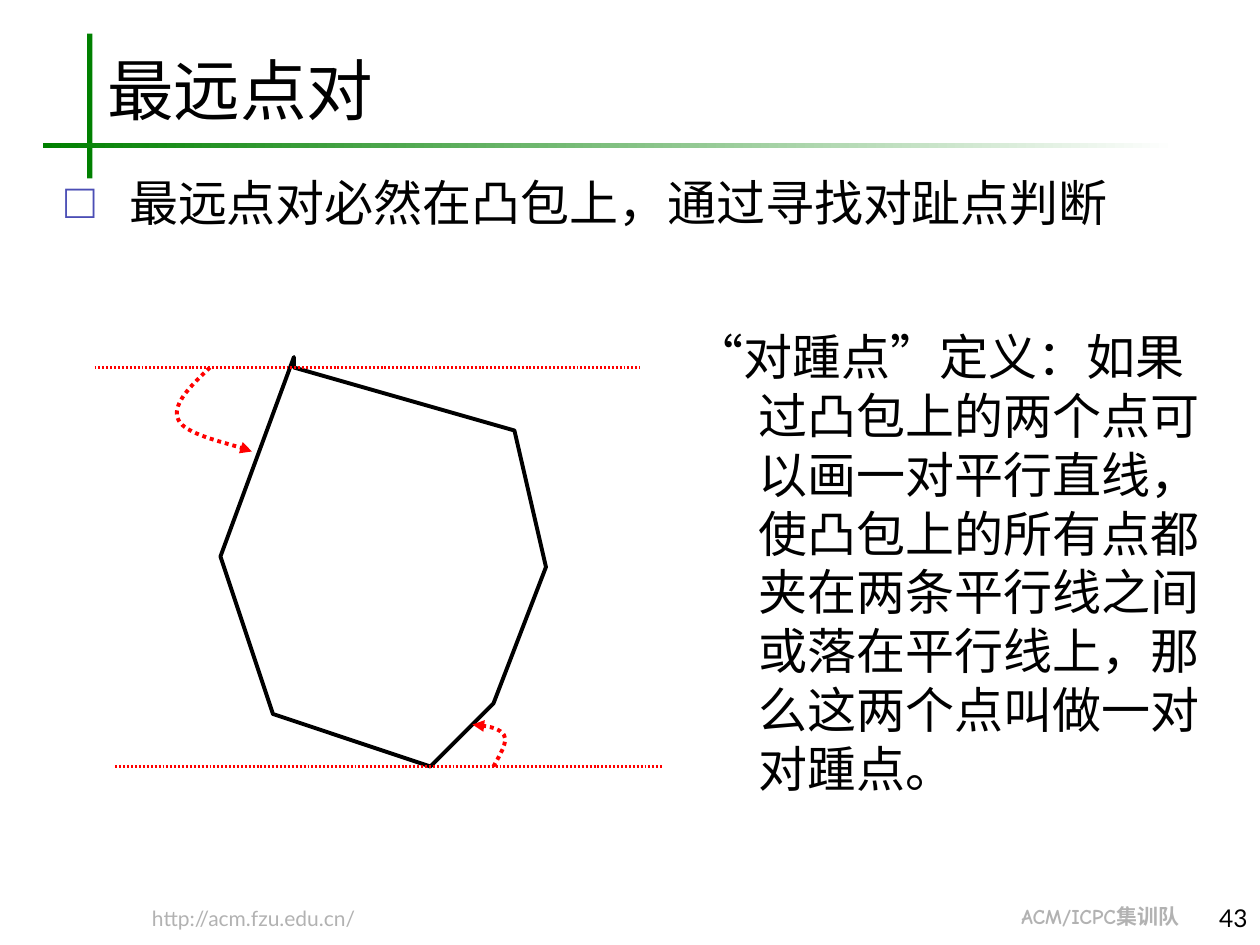
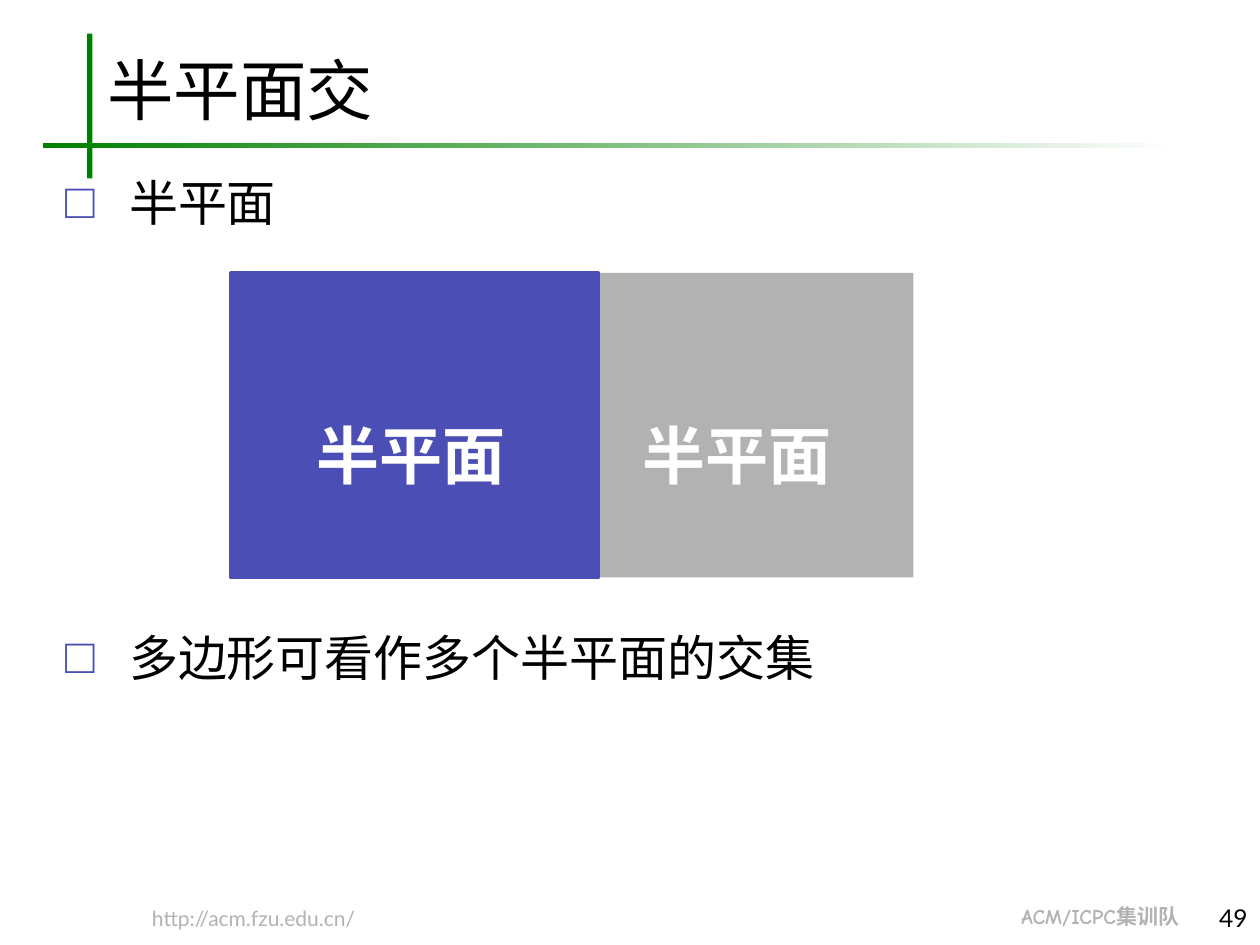
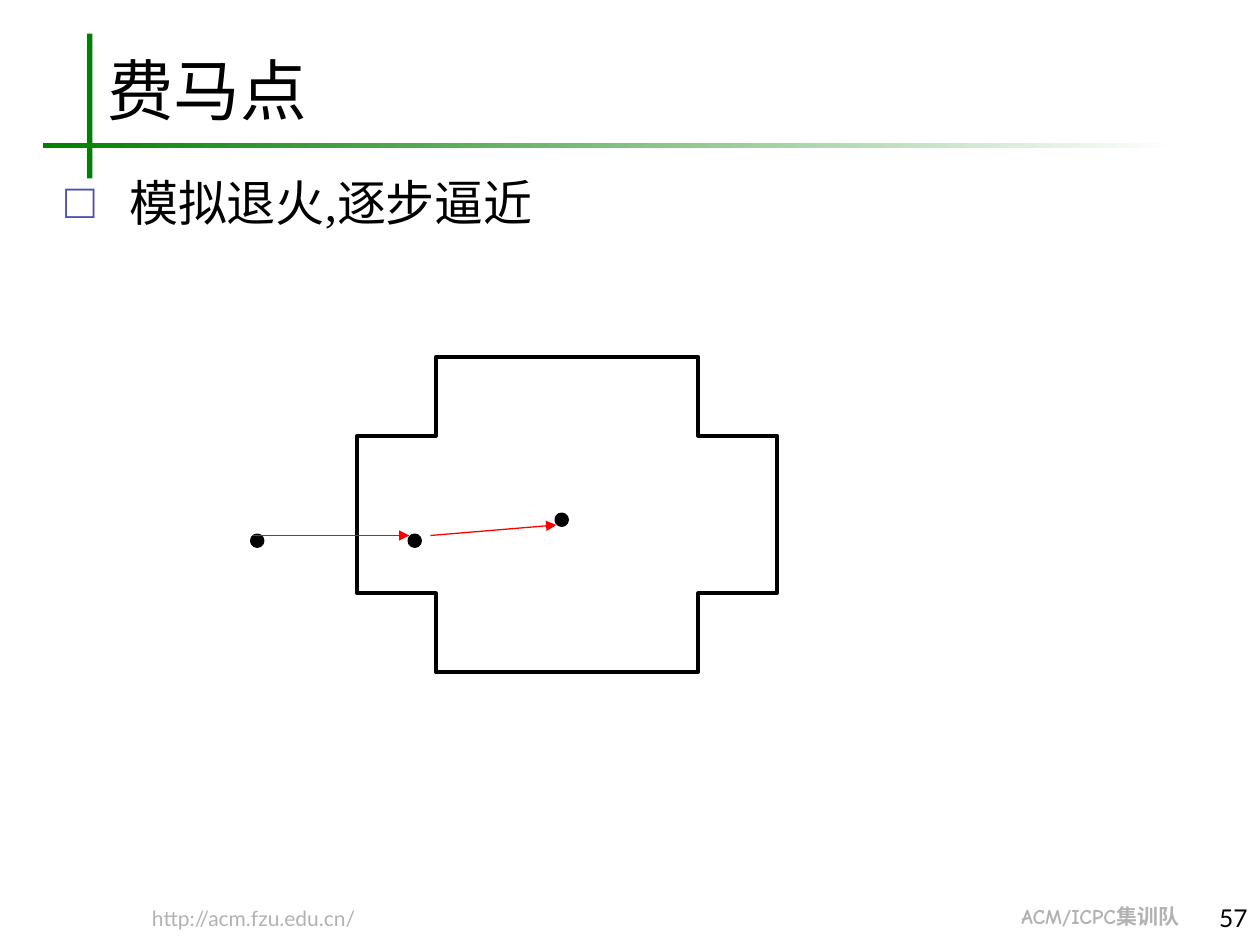
from dataclasses import dataclass
from typing import Optional

from lxml.etree import SubElement
from pptx import Presentation
from pptx.dml.color import RGBColor
from pptx.enum.dml import MSO_LINE
from pptx.enum.lang import MSO_LANGUAGE_ID
from pptx.enum.shapes import MSO_CONNECTOR, MSO_SHAPE
from pptx.enum.text import MSO_ANCHOR, MSO_AUTO_SIZE, PP_ALIGN
from pptx.oxml.ns import qn
from pptx.util import Emu, Pt

PX = 7620  # EMU in one px, 120 px to the inch
HANGING = 61

BLACK, WHITE, GREY = "000000", "FFFFFF", "B2B2B2"
GREEN, INDIGO, RED = "008000", "4B4EB5", "FF0000"
SERIF, SANS, COMIC = "Times New Roman", "Lato", "Comic Neue"


@dataclass(frozen=True)
class Box:
    left: int
    top: int
    width: int
    height: int

    def emu(self) -> tuple:
        return tuple(px(n) for n in (self.left, self.top, self.width, self.height))


@dataclass(frozen=True)
class Style:
    size: int
    font: str = SERIF
    color: str = BLACK
    bold: bool = False


@dataclass(frozen=True)
class Label:
    box: Box
    text: str
    style: Style
    spacing: Optional[float] = None


@dataclass(frozen=True)
class Bullet:
    text: str
    before: float = 0


@dataclass(frozen=True)
class Stroke:
    color: str
    width: float
    dash: Optional[MSO_LINE] = None
    fine_dots: bool = False
    arrow: bool = False


TITLE, BODY = Style(38), Style(28)
PAGE_NUMBER = Style(14, SANS)
REGION = Style(36, SERIF, WHITE, True)
OUTLINE = Stroke(BLACK, 2.25)
PARALLEL = Stroke(RED, 2.25, fine_dots=True)
ROTATION = Stroke(RED, 2.25, dash=MSO_LINE.ROUND_DOT, arrow=True)
STEP = Stroke(RED, 0.75, arrow=True)

TITLE_BOX = Box(90, 40, 1070, 89)
BODY_BOX = Box(50, 158, 1110, 682)
NUMBER_BOX = Box(1120, 854, 80, 40)
FOOTERS = (
    Label(Box(133, 866, 310, 22), "http://acm.fzu.edu.cn/", Style(12, SANS, GREY), 0.8),
    Label(Box(961, 864, 200, 22), "ACM/ICPC集训队", Style(12, COMIC, GREY, True), 0.8),
)


def px(count: int) -> Emu:
    return Emu(count * PX)


def rgb(hex_color: str) -> RGBColor:
    return RGBColor.from_string(hex_color)


def add_run(paragraph, text: str, style: Style) -> None:
    run = paragraph.add_run()
    run.text = text
    font = run.font
    font.name, font.size, font.bold = style.font, Pt(style.size), style.bold
    font.color.rgb = rgb(style.color)
    font.language_id = MSO_LANGUAGE_ID.SIMPLIFIED_CHINESE


def hang(paragraph):
    """Set the hanging indent and return the paragraph properties."""
    properties = paragraph._p.get_or_add_pPr()
    properties.set("marL", str(px(HANGING)))
    properties.set("indent", str(-px(HANGING)))
    return properties


def add_label(slide, label: Label):
    box = slide.shapes.add_textbox(*label.box.emu())
    frame = box.text_frame
    frame.word_wrap = True
    frame.auto_size = MSO_AUTO_SIZE.SHAPE_TO_FIT_TEXT
    frame.margin_top = frame.margin_bottom = px(1)
    paragraph = frame.paragraphs[0]
    hang(paragraph)
    paragraph.line_spacing = label.spacing
    add_run(paragraph, label.text, label.style)
    return box


def set_stroke(shape, stroke: Stroke) -> None:
    shape.line.color.rgb = rgb(stroke.color)
    shape.line.width = Pt(stroke.width)
    if stroke.dash is not None:
        shape.line.dash_style = stroke.dash
    outline = shape.element.spPr.find(qn("a:ln"))
    if stroke.fine_dots:
        dots = SubElement(outline, qn("a:custDash"))
        SubElement(dots, qn("a:ds"), d="50000", sp="50000")
    if stroke.arrow:
        SubElement(outline, qn("a:tailEnd"), type="triangle")


def finish(shape, fill: Optional[str], stroke: Optional[Stroke]):
    """Give a shape its fill and line, and take away its shadow."""
    shape.shadow.inherit = False
    if fill:
        shape.fill.solid()
        shape.fill.fore_color.rgb = rgb(fill)
    else:
        shape.fill.background()
    if stroke:
        set_stroke(shape, stroke)
    else:
        shape.line.fill.background()
    return shape


def add_preset(slide, preset: MSO_SHAPE, box: Box, fill: Optional[str] = None,
               stroke: Optional[Stroke] = None):
    return finish(slide.shapes.add_shape(preset, *box.emu()), fill, stroke)


def add_outline(slide, points: list, stroke: Stroke, close: bool):
    builder = slide.shapes.build_freeform(*points[0], scale=PX)
    builder.add_line_segments(points[1:], close=close)
    return finish(builder.convert_to_shape(), None, stroke)


def add_curve(slide, points: list, stroke: Stroke) -> None:
    """Draw a start point followed by triples of Bézier points."""
    curve = add_outline(slide, points, stroke, close=False)
    segments = list(curve.element.iter(qn("a:lnTo")))
    for first in range(0, len(segments), 3):
        bezier = SubElement(segments[first].getparent(), qn("a:cubicBezTo"))
        for segment in segments[first:first + 3]:
            bezier.append(segment[0])
            segment.getparent().remove(segment)


def add_line(slide, start: tuple, end: tuple, stroke: Stroke) -> None:
    line = slide.shapes.add_connector(
        MSO_CONNECTOR.STRAIGHT, *(px(n) for n in start + end))
    set_stroke(line, stroke)
    SubElement(line.element.spPr, qn("a:effectLst"))


def decorate_layout(layout, slide) -> None:
    """Draw the green cross and footers, and hand them to the layout."""
    upright = add_preset(slide, MSO_SHAPE.RECTANGLE, Box(83, 32, 5, 138), GREEN)
    rule = add_preset(slide, MSO_SHAPE.RECTANGLE, Box(41, 136, 1080, 5))
    rule.fill.gradient()
    rule.fill.gradient_angle = 180
    for stop, color in zip(rule.fill.gradient_stops, (WHITE, GREEN)):
        stop.color.rgb = rgb(color)
    footers = [add_label(slide, footer) for footer in FOOTERS]
    for part in (upright, rule, *footers):
        layout.shapes.element.append(part.element)


def place(placeholder, box: Box) -> None:
    placeholder.left, placeholder.top, placeholder.width, placeholder.height = box.emu()


def add_page(deck, title: str, number: str, bullets: list):
    slide = deck.slides.add_slide(deck.slide_layouts[1])
    heading, body = slide.shapes.title, slide.placeholders[1]
    place(heading, TITLE_BOX)
    place(body, BODY_BOX)
    for holder in (heading, body):
        holder.text_frame.auto_size = MSO_AUTO_SIZE.NONE
    heading.text_frame.vertical_anchor = MSO_ANCHOR.BOTTOM
    title_line = heading.text_frame.paragraphs[0]
    title_line.alignment = PP_ALIGN.LEFT
    add_run(title_line, title, TITLE)

    for index, bullet in enumerate(bullets):
        frame = body.text_frame
        item = frame.add_paragraph() if index else frame.paragraphs[0]
        properties = hang(item)
        mark_color = SubElement(properties, qn("a:buClr"))
        SubElement(mark_color, qn("a:srgbClr"), val=INDIGO)
        SubElement(properties, qn("a:buChar"), char="□")
        item.space_before = Pt(bullet.before)
        add_run(item, bullet.text, BODY)

    corner = slide.shapes.add_textbox(*NUMBER_BOX.emu()).text_frame
    corner.word_wrap = True
    corner.vertical_anchor = MSO_ANCHOR.BOTTOM
    corner.paragraphs[0].alignment = PP_ALIGN.RIGHT
    add_run(corner.paragraphs[0], number, PAGE_NUMBER)
    return slide


def add_farthest_pair(deck):
    slide = add_page(deck, "最远点对", "43",
                     [Bullet("最远点对必然在凸包上，通过寻找对趾点判断")])
    hull = [(280, 350), (490, 410), (520, 540), (470, 670), (410, 730),
            (260, 680), (210, 530), (280, 340), (280, 350)]
    add_outline(slide, hull, OUTLINE, close=True)
    for left, y in ((90, 350), (110, 730)):
        add_line(slide, (left, y), (left + 520, y), PARALLEL)
    upper_turn = [(200, 350), (181, 368), (163, 386), (170, 400),
                  (176, 413), (228, 425), (240, 430)]
    lower_turn = [(470, 730), (476, 719), (484, 707), (480, 700),
                  (476, 694), (463, 691), (450, 690)]
    for turn in (upper_turn, lower_turn):
        add_curve(slide, turn, ROTATION)
    definition = ("“对踵点”定义：如果过凸包上的两个点可以画一对平行直线，"
                  "使凸包上的所有点都夹在两条平行线之间或落在平行线上，"
                  "那么这两个点叫做一对对踵点。")
    add_label(slide, Label(Box(650, 310, 530, 525), definition, BODY))
    return slide


def add_half_planes(deck) -> None:
    slide = add_page(deck, "半平面交", "49", [
        Bullet("半平面"), Bullet("多边形可看作多个半平面的交集", 226.5)])
    add_preset(slide, MSO_SHAPE.RECTANGLE, Box(220, 260, 650, 290), GREY)
    add_preset(slide, MSO_SHAPE.RECTANGLE, Box(220, 260, 350, 290), INDIGO,
               Stroke(INDIGO, 2.25))
    for left in (290, 600):
        add_label(slide, Label(Box(left, 410, 250, 60), "半平面", REGION, 0.8))


def add_fermat_point(deck) -> None:
    slide = add_page(deck, "费马点", "57", [Bullet("模拟退火,逐步逼近")])
    region = add_preset(slide, MSO_SHAPE.CROSS, Box(340, 340, 400, 300), stroke=OUTLINE)
    region.adjustments[0] = 0.25
    for left, top in ((240, 510), (390, 510), (530, 490)):
        add_preset(slide, MSO_SHAPE.OVAL, Box(left, top, 10, 10), BLACK, OUTLINE)
    add_line(slide, (240, 510), (390, 510), STEP)
    add_line(slide, (410, 510), (530, 500), STEP)


def main() -> None:
    deck = Presentation()
    deck.slide_width, deck.slide_height = px(1200), px(900)
    farthest_pair = add_farthest_pair(deck)
    decorate_layout(deck.slide_layouts[1], farthest_pair)
    add_half_planes(deck)
    add_fermat_point(deck)
    deck.save("out.pptx")


if __name__ == "__main__":
    main()
